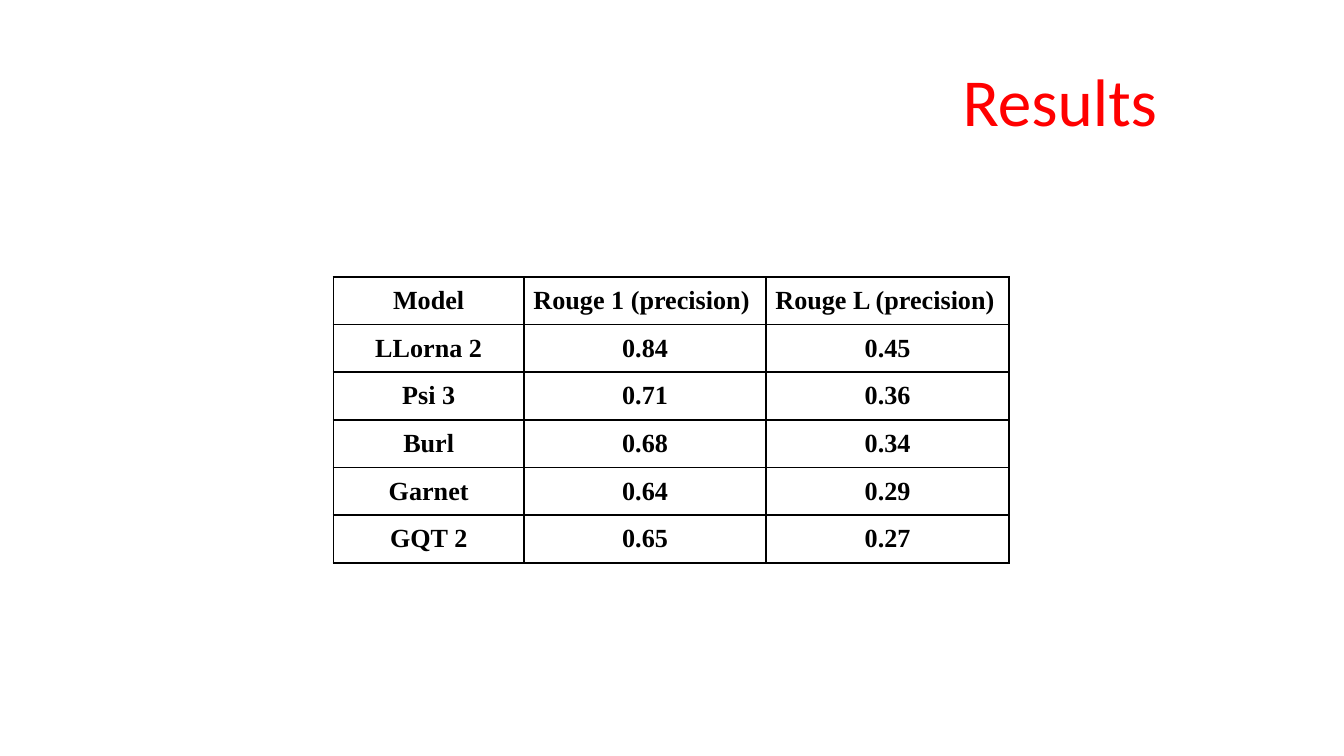
from dataclasses import dataclass

from lxml import etree
from pptx import Presentation
from pptx import util as u
from pptx.dml.color import RGBColor
from pptx.enum import text
from pptx.oxml import ns


@dataclass(frozen=True)
class Theme:
    title_font: str = "Calibri"
    title_size: int = 36
    title_color: str = "FF0000"
    table_font: str = "Times New Roman"
    table_size: int = 14
    ink: str = "000000"
    paper: str = "FFFFFF"
    border_width: int = 1


THEME = Theme()
SLIDE_WIDTH = 10
SLIDE_HEIGHT = SLIDE_WIDTH * 9 / 16
RESULTS = [
    ("Model", "Rouge 1 (precision)", "Rouge L (precision)"),
    ("LLorna 2", "0.84", "0.45"),
    ("Psi 3", "0.71", "0.36"),
    ("Burl", "0.68", "0.34"),
    ("Garnet", "0.64", "0.29"),
    ("GQT 2", "0.65", "0.27"),
]
COLUMN_WIDTHS = (1.42, 1.8, 1.81)


def apply_format(target, values):
    for name, value in values.items():
        setattr(target, name, value)


def style_span(span, font, size, color, bold):
    apply_format(span.font, {"name": font, "size": u.Pt(size), "bold": bold})
    span.font.color.rgb = RGBColor.from_string(color)


def add_borders(cell):
    properties = cell._tc.get_or_add_tcPr()
    for index, side in enumerate(("lnL", "lnR", "lnT", "lnB")):
        line = etree.Element(ns.qn(f"a:{side}"), w=str(u.Pt(THEME.border_width)))
        fill = etree.SubElement(line, ns.qn("a:solidFill"))
        etree.SubElement(fill, ns.qn("a:srgbClr"), val=THEME.ink)
        properties.insert(index, line)


def place_title(page, box, wording):
    title = page.shapes.title
    apply_format(title, dict(zip(("left", "top", "width", "height"), map(u.Inches, box))))
    frame = title.text_frame
    apply_format(frame, {
        "auto_size": text.MSO_AUTO_SIZE.NONE,
        "word_wrap": True,
        "vertical_anchor": text.MSO_ANCHOR.MIDDLE,
        "margin_right": u.Inches(0.91),
    })
    para = frame.paragraphs[0]
    para.alignment = text.PP_ALIGN.RIGHT
    span = para.add_run()
    span.text = wording
    style_span(span, THEME.title_font, THEME.title_size, THEME.title_color, False)


def fill_cell(cell, wording, alignment):
    margins = ("margin_left", "margin_right", "margin_top", "margin_bottom")
    apply_format(cell, dict.fromkeys(margins, u.Inches(0.07)))
    cell.fill.solid()
    cell.fill.fore_color.rgb = RGBColor.from_string(THEME.paper)
    add_borders(cell)
    para = cell.text_frame.paragraphs[0]
    para.alignment = alignment
    span = para.add_run()
    span.text = wording
    style_span(span, THEME.table_font, THEME.table_size, THEME.ink, True)


def place_results(page, box, records):
    frame = page.shapes.add_table(
        len(records), len(COLUMN_WIDTHS), *map(u.Inches, box))
    table = frame.table
    apply_format(table, {"first_row": False, "horz_banding": False})
    for column, width in zip(table.columns, COLUMN_WIDTHS):
        column.width = u.Inches(width)
    for row_index, record in enumerate(records):
        for column_index, wording in enumerate(record):
            is_measure = row_index == 0 and column_index > 0
            alignment = text.PP_ALIGN.LEFT if is_measure else text.PP_ALIGN.CENTER
            fill_cell(table.cell(row_index, column_index), wording, alignment)


def main():
    deck = Presentation()
    apply_format(deck, {
        "slide_width": u.Inches(SLIDE_WIDTH),
        "slide_height": u.Inches(SLIDE_HEIGHT),
    })
    page = deck.slides.add_slide(deck.slide_layouts.get_by_name("Title Only"))
    page.background.fill.solid()
    page.background.fill.fore_color.rgb = RGBColor.from_string(THEME.paper)
    place_title(page, (0.49, 0.33, 9.03, 0.83), "Results")
    place_results(page, (2.48, 2.06, sum(COLUMN_WIDTHS), 2.12), RESULTS)
    deck.save("out.pptx")


if __name__ == "__main__":
    main()
